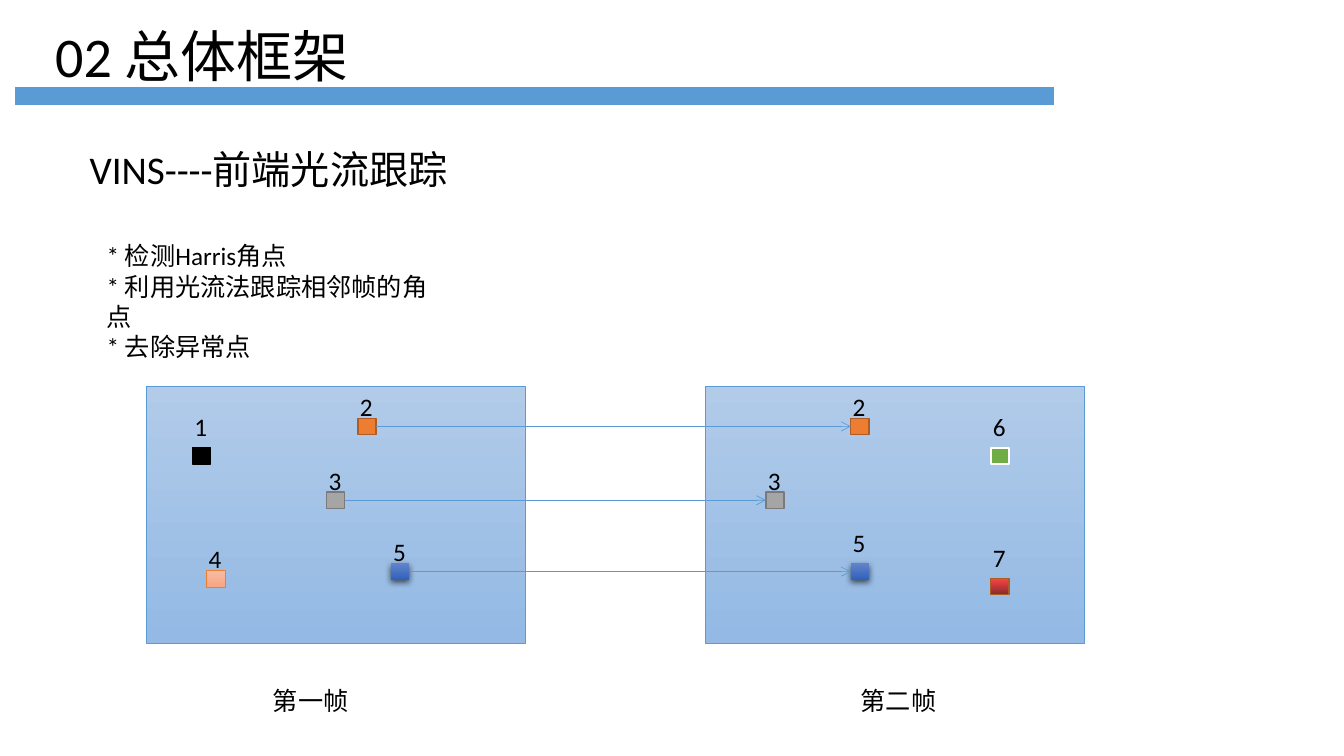
from lxml.etree import SubElement
from pptx import Presentation
from pptx.dml.color import RGBColor
from pptx.enum.shapes import MSO_CONNECTOR, MSO_SHAPE
from pptx.enum.text import MSO_ANCHOR, PP_ALIGN
from pptx.oxml.ns import qn
from pptx.util import Cm, Pt

FONT = "Calibri"
BLUE = "5B9BD5"
TITLE = "02 总体框架"
TEXTS = [
    (["VINS----前端光流跟踪"], 28, (2.01, 3.53, 10.06, 2.21)),
    (["* 检测Harris角点", "* 利用光流法跟踪相邻帧的角点", "* 去除异常点"], 18,
     (2.44, 5.94, 9.19, 2.57)),
    (["第一帧"], 18, (6.63, 17.15, 3.68, 1.02)),
    (["第二帧"], 18, (21.44, 17.15, 3.68, 1.02)),
]
FRAME_LEFTS = (3.68, 17.78)
FRAME_TOP, FRAME_WIDTH, FRAME_HEIGHT = 9.73, 9.55, 6.48
FRAME_STYLE = (("B1CBE9", "93B9E4"), BLUE, 0.5)

POINT_WIDTH, POINT_HEIGHT = 0.46, 0.41
LABEL_WIDTH, LABEL_HEIGHT, LABEL_SHIFT = 0.86, 1.02, 0.2
NEAR, FAR = 0.81, 1.03
POINT_STYLES = {
    "1": (("000000",), "000000", 1),
    "2": (("ED7D31",), "AF5C24", 1),
    "3": (("A5A5A5",), "7A7A7A", 1),
    "4": (("F7BDA5", "F8A582"), "ED7D31", 0.5),
    "5": (("6183CB", "3062BB"), None, 0),
    "6": (("70AD47",), "FFFFFF", 1.5),
    "7": (("FE4444", "832B2B"), "AF5C24", 1),
}
SHADOWED = "5"
FIRST_POINTS = {
    "1": (4.85, 11.28, FAR),
    "2": (9.02, 10.54, NEAR),
    "3": (8.23, 12.4, NEAR),
    "4": (5.21, 14.38, NEAR),
    "5": (9.86, 14.2, NEAR),
}
SECOND_POINTS = {
    "2": (21.44, 10.54, NEAR),
    "3": (19.3, 12.4, NEAR),
    "5": (21.44, 14.2, FAR),
    "6": (24.97, 11.28, FAR),
    "7": (24.97, 14.58, FAR),
}


def color(value):
    return RGBColor.from_string(value)


def box(*lengths):
    return [Cm(length) for length in lengths]


def format_text(text_frame, size, alignment):
    text_frame.word_wrap = True
    for paragraph in text_frame.paragraphs:
        paragraph.alignment = alignment
        for run in paragraph.runs:
            run.font.name = FONT
            run.font.size = Pt(size)
            run.font.color.rgb = color("000000")


def add_text(slide, lines, size, place):
    text_frame = slide.shapes.add_textbox(*box(*place)).text_frame
    text_frame.text = "\n".join(lines)
    format_text(text_frame, size, PP_ALIGN.LEFT)


def add_block(slide, place, style, kind=MSO_SHAPE.RECTANGLE):
    fills, line_color, line_width = style
    shape = slide.shapes.add_shape(kind, *box(*place))
    shape.shadow.inherit = False
    if len(fills) == 1:
        shape.fill.solid()
        shape.fill.fore_color.rgb = color(fills[0])
    else:
        shape.fill.gradient()
        shape.fill.gradient_angle = 270
        for stop, value in zip(shape.fill.gradient_stops, fills):
            stop.color.rgb = color(value)
    if line_color:
        shape.line.color.rgb = color(line_color)
        shape.line.width = Pt(line_width)
    else:
        shape.line.fill.background()
    return shape


def add_shadow(shape):
    effects = shape.element.spPr.find(qn("a:effectLst"))
    shadow = SubElement(effects, qn("a:outerShdw"), blurRad=str(Pt(4.5)),
                        dist=str(Pt(1.5)), dir="5400000", algn="ctr", rotWithShape="0")
    tint = SubElement(shadow, qn("a:srgbClr"), val="000000")
    SubElement(tint, qn("a:alpha"), val="63000")


def add_points(slide, points):
    squares = {}
    for name, (left, top, rise) in points.items():
        square = add_block(slide, (left, top, POINT_WIDTH, POINT_HEIGHT), POINT_STYLES[name])
        if name == SHADOWED:
            add_shadow(square)
        add_text(slide, [name], 18, (left - LABEL_SHIFT, top - rise, LABEL_WIDTH, LABEL_HEIGHT))
        squares[name] = square
    return squares


def add_track(slide, start, end):
    connector = slide.shapes.add_connector(MSO_CONNECTOR.STRAIGHT, 0, 0, 0, 0)
    connector.begin_connect(start, 3)
    connector.end_connect(end, 1)
    connector.line.color.rgb = color(BLUE)
    connector.line.width = Pt(0.5)
    SubElement(connector.line._get_or_add_ln(), qn("a:tailEnd"), type="arrow")
    SubElement(connector.element.spPr, qn("a:effectLst"))


def main():
    presentation = Presentation()
    presentation.slide_width, presentation.slide_height = box(33.87, 19.05)
    slide = presentation.slides.add_slide(presentation.slide_layouts[5])

    title = slide.shapes.title
    title.left, title.top, title.width, title.height = box(0.69, 0.41, 8.79, 1.96)
    title.text_frame.text = TITLE
    title.text_frame.vertical_anchor = MSO_ANCHOR.TOP
    format_text(title.text_frame, 40, PP_ALIGN.CENTER)

    add_block(slide, (-4.37, 1.32, 35.69, 2.21), ((BLUE,), "FFFFFF", 1.5), MSO_SHAPE.MATH_MINUS)
    for lines, size, place in TEXTS:
        add_text(slide, lines, size, place)
    for left in FRAME_LEFTS:
        add_block(slide, (left, FRAME_TOP, FRAME_WIDTH, FRAME_HEIGHT), FRAME_STYLE)

    first = add_points(slide, FIRST_POINTS)
    second = add_points(slide, SECOND_POINTS)
    for name in first:
        if name in second:
            add_track(slide, first[name], second[name])

    presentation.save("out.pptx")


if __name__ == "__main__":
    main()
